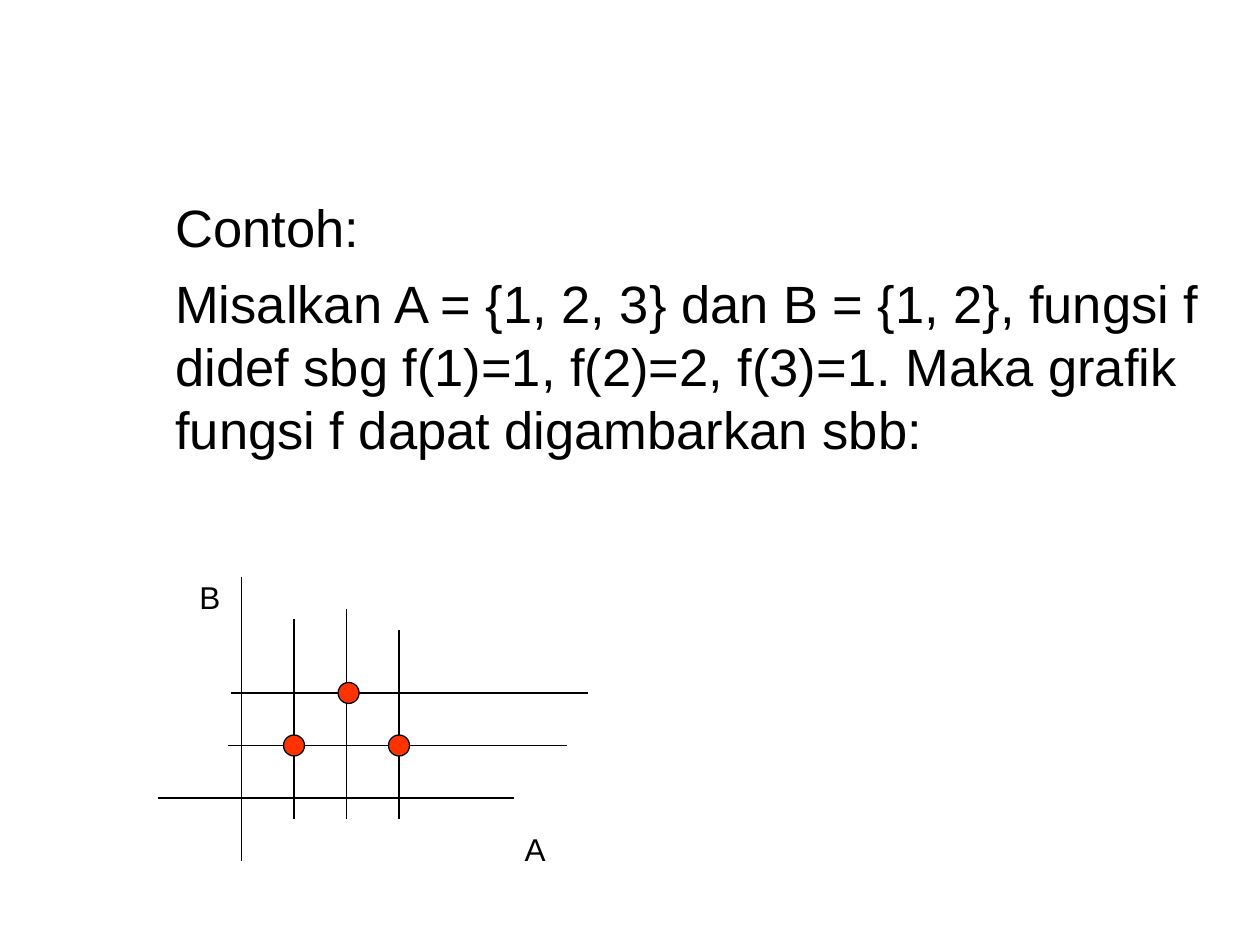
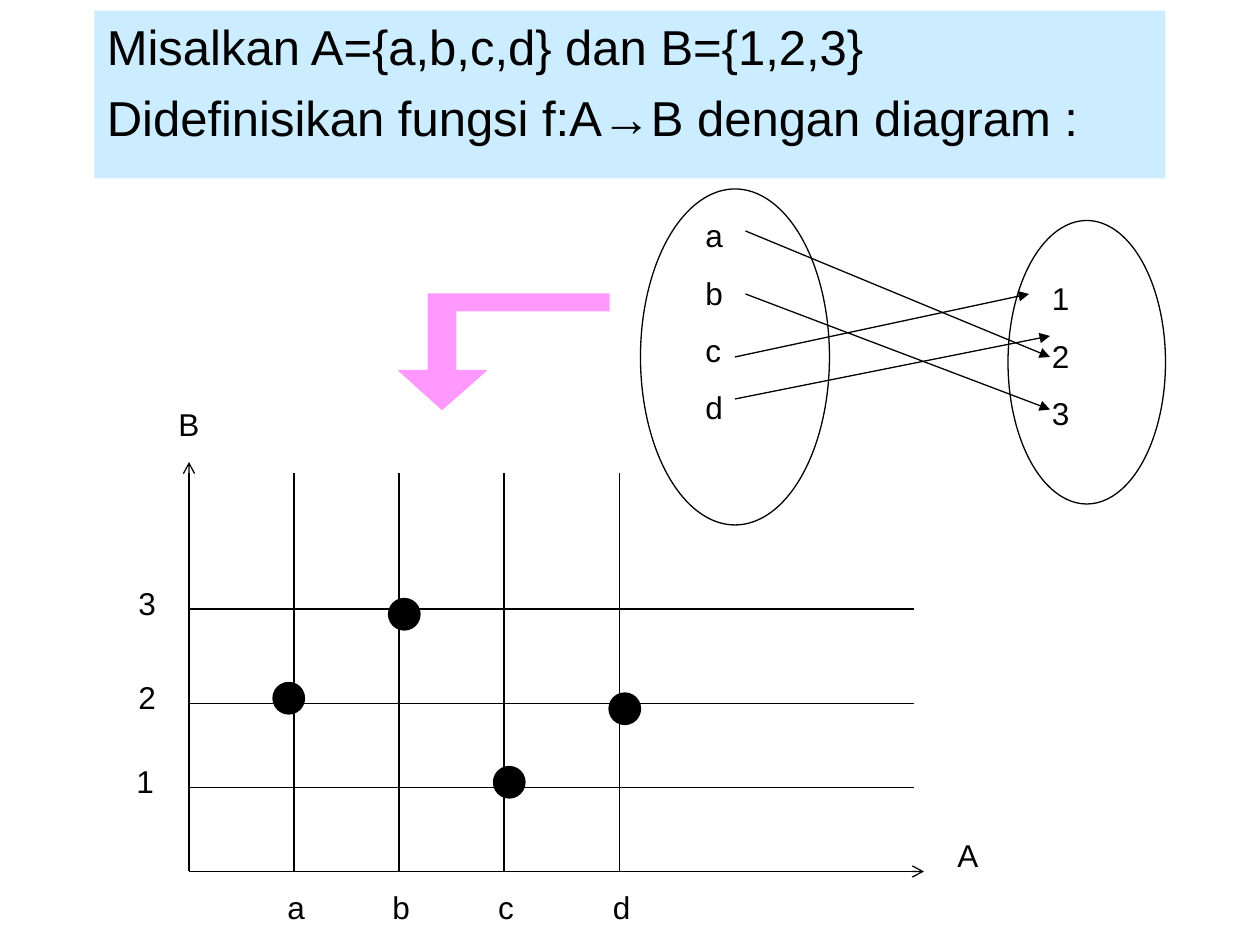
import dataclasses

import lxml.etree
import pptx
import pptx.dml.color
import pptx.enum.shapes
import pptx.enum.text
import pptx.oxml.ns
import pptx.util

PX = 7620  # EMU, 120 px to the inch


@dataclasses.dataclass(frozen=True)
class Theme:
    ink: pptx.dml.color.RGBColor = pptx.dml.color.RGBColor.from_string("000000")
    band: pptx.dml.color.RGBColor = pptx.dml.color.RGBColor.from_string("CCECFF")
    red_dot: pptx.dml.color.RGBColor = pptx.dml.color.RGBColor.from_string("FF3300")
    bent_arrow: pptx.dml.color.RGBColor = pptx.dml.color.RGBColor.from_string("FF99FF")
    font: str = "Arial"
    example_size: int = 30
    band_size: int = 28
    label_size: int = 18
    line_width: float = 0.75


theme = Theme()


def add_text(page, lines, left, top, width, height=48, size=theme.label_size,
             gap=11.2, indent=0, align=pptx.enum.text.PP_ALIGN.LEFT):
    """Add a text box with one paragraph per line, gap points apart."""
    box = page.shapes.add_textbox(left * PX, top * PX, width * PX, height * PX)
    frame = box.text_frame
    frame.word_wrap = True
    frame.margin_left = (12 + indent) * PX
    frame.text = "\n".join(lines)
    for number, para in enumerate(frame.paragraphs):
        para.alignment = align
        para.space_before = pptx.util.Pt(gap if number else 0)
        para.font.name = theme.font
        para.font.size = pptx.util.Pt(size)
        para.font.color.rgb = theme.ink
    return box


def add_line(page, x1, y1, x2, y2, arrowhead=None):
    """Draw a thin line, with an optional arrowhead at its end."""
    line = page.shapes.add_connector(
        pptx.enum.shapes.MSO_CONNECTOR.STRAIGHT, x1 * PX, y1 * PX, x2 * PX, y2 * PX)
    line.line.color.rgb = theme.ink
    line.line.width = pptx.util.Pt(theme.line_width)
    if arrowhead:
        outline = line.line._get_or_add_ln()
        lxml.etree.SubElement(outline, pptx.oxml.ns.qn("a:tailEnd"), type=arrowhead)
    lxml.etree.SubElement(line._element.spPr, pptx.oxml.ns.qn("a:effectLst"))


deck = pptx.Presentation()
deck.slide_width = 1200 * PX
deck.slide_height = 900 * PX
blank = deck.slide_layouts[6]
example_page = deck.slides.add_slide(blank)
diagram_page = deck.slides.add_slide(blank)

# Example with its graph
add_text(example_page, [
    "Contoh:",
    "Misalkan A = {1, 2, 3} dan B = {1, 2}, fungsi f didef sbg "
    "f(1)=1, f(2)=2, f(3)=1. Maka grafik fungsi f dapat digambarkan sbb:",
], 110, 180, 1051, 550, theme.example_size, gap=7.5, indent=45)
for x, top, bottom in [(230, 550, 820), (280, 590, 780), (330, 580, 780), (380, 600, 780)]:
    add_line(example_page, x, top, x, bottom)
for y, left, right in [(760, 150, 490), (710, 217, 540), (660, 220, 560)]:
    add_line(example_page, left, y, right, y)
add_text(example_page, ["A"], 488, 785, 60)
add_text(example_page, ["B"], 178, 545, 60)

# Mapping between the two sets
band = add_text(diagram_page, [
    "Misalkan A={a,b,c,d} dan B={1,2,3}",
    "Didefinisikan fungsi f:A→B dengan diagram :",
], 90, 10, 1020, 160, theme.band_size, gap=7)
band.fill.solid()
band.fill.fore_color.rgb = theme.band
add_text(diagram_page, "abcd", 660, 200, 90, 212)
add_text(diagram_page, "123", 990, 260, 80, 158)
for mapping in [(710, 220, 1000, 340), (710, 280, 1000, 390),
                (700, 340, 980, 280), (700, 380, 1000, 320)]:
    add_line(diagram_page, *mapping, "triangle")

# Graph of the mapping
add_line(diagram_page, 180, 830, 180, 440, "arrow")
add_line(diagram_page, 180, 830, 880, 830, "arrow")
for value, y, label_left, label_top in [("1", 750, 118, 720), ("2", 670, 120, 640),
                                        ("3", 580, 120, 550)]:
    add_line(diagram_page, 180, y, 870, y)
    add_text(diagram_page, [value], label_left, label_top, 60)
for letter, x in zip("abcd", (280, 380, 480, 590)):
    add_line(diagram_page, x, 830, x, 450)
    add_text(diagram_page, [letter], x - 28, 840, 60,
             align=pptx.enum.text.PP_ALIGN.CENTER)
add_text(diagram_page, ["B"], 158, 380, 100)
add_text(diagram_page, ["A"], 900, 790, 110)

outline = diagram_page.shapes.build_freeform(421, 390, scale=PX)
outline.add_line_segments([(463, 353), (434, 353), (434, 296), (580, 296),
                           (580, 280), (408, 280), (408, 353), (380, 353)])
bent_arrow = outline.convert_to_shape()
bent_arrow.shadow.inherit = False
bent_arrow.fill.solid()
bent_arrow.fill.fore_color.rgb = theme.bent_arrow
bent_arrow.line.color.rgb = theme.bent_arrow
bent_arrow.line.width = pptx.util.Pt(theme.line_width)

# Set outlines and graph points, given by centre and size
ovals = [(diagram_page, 700, 340, 180, 320, None), (diagram_page, 1035, 345, 150, 270, None)]
ovals += [(example_page, x, y, 20, 20, theme.red_dot)
          for x, y in [(280, 710), (332, 660), (380, 710)]]
ovals += [(diagram_page, x, y, 30, 30, theme.ink)
          for x, y in [(275, 665), (385, 585), (485, 745), (595, 675)]]
for page, x, y, width, height, fill in ovals:
    oval = page.shapes.add_shape(
        pptx.enum.shapes.MSO_SHAPE.OVAL,
        (x - width // 2) * PX, (y - height // 2) * PX, width * PX, height * PX)
    oval.shadow.inherit = False
    oval.line.color.rgb = theme.ink
    oval.line.width = pptx.util.Pt(theme.line_width)
    if fill is None:
        oval.fill.background()
    else:
        oval.fill.solid()
        oval.fill.fore_color.rgb = fill

deck.save("out.pptx")
